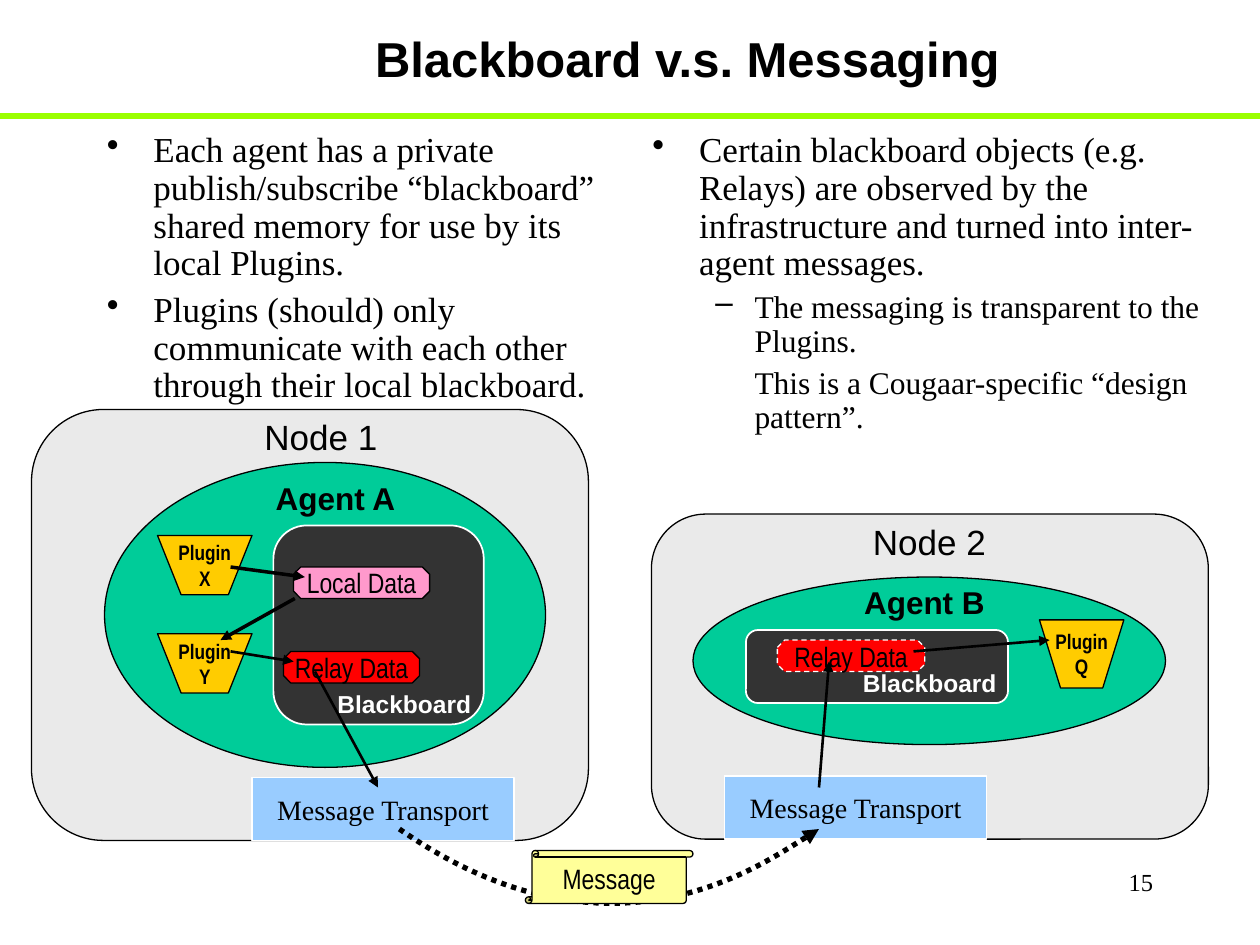
from lxml import etree
from pptx import Presentation
from pptx import util as u
from pptx.dml.color import RGBColor
from pptx.enum import dml, shapes, text
from pptx.oxml import ns

BLACK = RGBColor(0x00, 0x00, 0x00)
WHITE = RGBColor(0xFF, 0xFF, 0xFF)
LIME = RGBColor(0x9B, 0xFF, 0x00)
NODE_GREY = RGBColor(0xEA, 0xEA, 0xEA)
AGENT_GREEN = RGBColor(0x00, 0xCC, 0x99)
BOARD_GREY = RGBColor(0x33, 0x33, 0x33)
TRANSPORT_BLUE = RGBColor(0x99, 0xCC, 0xFF)
PLUGIN_GOLD = RGBColor(0xFF, 0xCC, 0x00)
RELAY_RED = RGBColor(0xFF, 0x00, 0x00)
LOCAL_PINK = RGBColor(0xFF, 0x99, 0xCC)
MESSAGE_YELLOW = RGBColor(0xFF, 0xFF, 0x99)

SANS, NARROW, SERIF = "Arial", "Arial Narrow", "Times New Roman"
SHAPE = shapes.MSO_SHAPE
ALIGN = text.PP_ALIGN


class Deck:
    def __init__(self, prs):
        self.s = prs.slides.add_slide(prs.slide_layouts[5])

    def box(self, at):
        return [u.Inches(v) for v in at]

    def sub(self, parent, tag, **attrs):
        return etree.SubElement(parent, ns.qn(tag), attrs)

    def add_text(self, p, content, size, font, color=BLACK, bold=False, align=None):
        p.alignment = align
        r = p.add_run()
        r.text = content
        r.font.size = u.Pt(size)
        r.font.name = font
        r.font.bold = bold
        r.font.color.rgb = color

    def title(self, at, content):
        sp = self.s.shapes.title
        sp.left, sp.top, sp.width, sp.height = self.box(at)
        tf = sp.text_frame
        tf.vertical_anchor = text.MSO_ANCHOR.MIDDLE
        self.add_text(tf.paragraphs[0], content, 28, SANS, bold=True, align=ALIGN.CENTER)

    def label(self, at, content, size, font=SANS, wrap=False, **style):
        tf = self.s.shapes.add_textbox(*self.box(at)).text_frame
        tf.word_wrap = wrap
        self.add_text(tf.paragraphs[0], content, size, font, **style)

    def finish(self, sp, fill, line, width=0.75, lines=(), size=16, font=NARROW, bold=False):
        sp.shadow.inherit = False
        sp.fill.solid()
        sp.fill.fore_color.rgb = fill
        sp.line.color.rgb = line
        sp.line.width = u.Pt(width)
        tf = sp.text_frame
        tf.word_wrap = False
        tf.vertical_anchor = text.MSO_ANCHOR.MIDDLE
        for i, content in enumerate(lines):
            p = tf.add_paragraph() if i else tf.paragraphs[0]
            self.add_text(p, content, size, font, bold=bold, align=ALIGN.CENTER)
        return sp

    def shape(self, kind, at, fill, line=BLACK, adj=None, **style):
        sp = self.s.shapes.add_shape(kind, *self.box(at))
        if adj is not None:
            sp.adjustments[0] = adj
        return self.finish(sp, fill, line, **style)

    def outline(self, points, close):
        pts = [(u.Inches(x), u.Inches(y)) for x, y in points]
        fb = self.s.shapes.build_freeform(*pts[0])
        fb.add_line_segments(pts[1:], close=close)
        return fb.convert_to_shape()

    def plugin(self, at, name):
        x, y, w, h = at
        points = [(x, y), (x + w, y), (x + w * 0.75, y + h), (x + w * 0.25, y + h)]
        sp = self.outline(points, True)
        self.finish(sp, PLUGIN_GOLD, BLACK, lines=("Plugin", name), size=12, bold=True)

    def data(self, at, content, fill, line=BLACK):
        return self.shape(SHAPE.OCTAGON, at, fill, line, adj=0.23, lines=(content,))

    def tail(self, sp, width):
        sp.line.color.rgb = BLACK
        sp.line.width = u.Pt(width)
        self.sub(sp._element.spPr.find(ns.qn("a:ln")), "a:tailEnd", type="triangle")

    def line(self, start, end):
        sp = self.s.shapes.add_connector(
            shapes.MSO_CONNECTOR.STRAIGHT, *self.box(start + end))
        self.sub(sp._element.spPr, "a:effectLst")
        return sp

    def rule(self, start, end, color, width):
        sp = self.line(start, end)
        sp.line.color.rgb = color
        sp.line.width = u.Pt(width)

    def arrow(self, start, end, width=1.5):
        self.tail(self.line(start, end), width)

    def curve(self, points):
        sp = self.outline(points, False)
        sp.shadow.inherit = False
        sp.fill.background()
        sp.line.dash_style = dml.MSO_LINE.ROUND_DOT
        self.tail(sp, 3)
        route = next(sp._element.iter(ns.qn("a:path")))
        segments = route.findall(ns.qn("a:lnTo"))
        bezier = self.sub(route, "a:cubicBezTo")
        for segment in segments:
            bezier.append(segment[0])
            route.remove(segment)

    def bullets(self, at, items):
        tf = self.s.shapes.add_textbox(*self.box(at)).text_frame
        tf.word_wrap = True
        for i, (level, mark, content) in enumerate(items):
            p = tf.add_paragraph() if i else tf.paragraphs[0]
            left, hang, size, gap = ((0.37, 0.37, 20, 5), (0.81, 0.31, 18, 4.5))[level]
            p.level = level
            p.line_spacing = 0.9
            p.space_before = u.Pt(gap if i else 0)
            pPr = p._p.get_or_add_pPr()
            pPr.set("marL", str(u.Inches(left)))
            pPr.set("indent", str(-u.Inches(hang) if mark else 0))
            if mark:
                self.sub(pPr, "a:buChar", char=mark)
            else:
                self.sub(pPr, "a:buNone")
            self.add_text(p, content, size, SERIF)

    def node(self, name, at, name_at, transport, agent, agent_at, ellipse, board, board_at):
        self.shape(SHAPE.ROUNDED_RECTANGLE, at, NODE_GREY, adj=0.167)
        self.label(name_at + (1.1, 0.44), name, 20)
        self.shape(SHAPE.RECTANGLE, transport + (2.08, 0.5), TRANSPORT_BLUE, WHITE,
                   lines=("Message Transport",), font=SERIF)
        self.shape(SHAPE.OVAL, ellipse, AGENT_GREEN)
        self.label(agent_at + (1.16, 0.4), agent, 18, bold=True)
        self.shape(SHAPE.ROUNDED_RECTANGLE, board, BOARD_GREY, WHITE, adj=0.167, width=1)
        self.label(board_at + (1.26, 0.34), "Blackboard", 14,
                   color=WHITE, bold=True, align=ALIGN.CENTER)


def main():
    prs = Presentation()
    prs.slide_width, prs.slide_height = u.Inches(10), u.Inches(7.5)
    d = Deck(prs)

    d.rule((10, 0.92), (0, 0.92), LIME, 3)
    d.title((1.08, 0, 8.75, 0.92), "Blackboard v.s. Messaging")

    d.node("Node 1", (0.25, 3.25, 4.42, 3.42), (2, 3.25), (2, 6.17),
           "Agent A", (2.09, 3.75), (0.83, 3.67, 3.5, 2.42),
           (2.17, 4.17, 1.67, 1.58), (2.58, 5.42))
    d.plugin((1.25, 5.03, 0.75, 0.47), "Y")
    d.data((2.25, 5.17, 1.08, 0.25), "Relay Data", RELAY_RED)

    d.node("Node 2", (5.17, 4.08, 4.42, 2.58), (6.83, 4.08), (5.75, 6.16),
           "Agent B", (6.76, 4.58), (5.5, 4.58, 3.75, 1.33),
           (5.92, 5, 2.08, 0.58), (6.75, 5.25))
    remote = d.data((6.17, 5.08, 1.17, 0.25), "Relay Data", RELAY_RED, WHITE)
    remote.line.dash_style = dml.MSO_LINE.DASH

    d.curve([(3.17, 6.58), (4.85, 7.75), (6.5, 6.58), (6.5, 6.58)])
    d.shape(SHAPE.VERTICAL_SCROLL, (4.17, 6.75, 1.33, 0.42), MESSAGE_YELLOW,
            adj=0.125, lines=("Message",))
    d.plugin((8.25, 4.92, 0.67, 0.54), "Q")

    d.arrow((2.5, 5.33), (3, 6.25))
    d.arrow((6.5, 6.25), (6.58, 5.25))
    d.arrow((1.83, 5.17), (2.33, 5.25))
    d.arrow((7.25, 5.17), (8.33, 5.08))
    d.plugin((1.25, 4.25, 0.75, 0.47), "X")
    d.arrow((2.34, 4.75), (1.75, 5.08), 2)
    d.data((2.33, 4.5, 1.08, 0.25), "Local Data", LOCAL_PINK)
    d.arrow((1.83, 4.5), (2.42, 4.58), 2)

    d.bullets((0.75, 1, 4.17, 1.83), [
        (0, "•", "Each agent has a private publish/subscribe “blackboard” "
                 "shared memory for use by its local Plugins."),
        (0, "•", "Plugins (should) only communicate with each other "
                 "through their local blackboard."),
    ])
    d.bullets((5.08, 1, 4.75, 2.58), [
        (0, "•", "Certain blackboard objects (e.g. Relays) are observed by the "
                 "infrastructure and turned into inter-agent messages."),
        (1, "–", "The messaging is transparent to the Plugins."),
        (1, None, "This is a Cougaar-specific “design pattern”."),
    ])
    d.label((7.17, 6.83, 2.08, 0.5), "15", 14, SERIF, wrap=True, align=ALIGN.RIGHT)
    prs.save("out.pptx")


if __name__ == "__main__":
    main()
